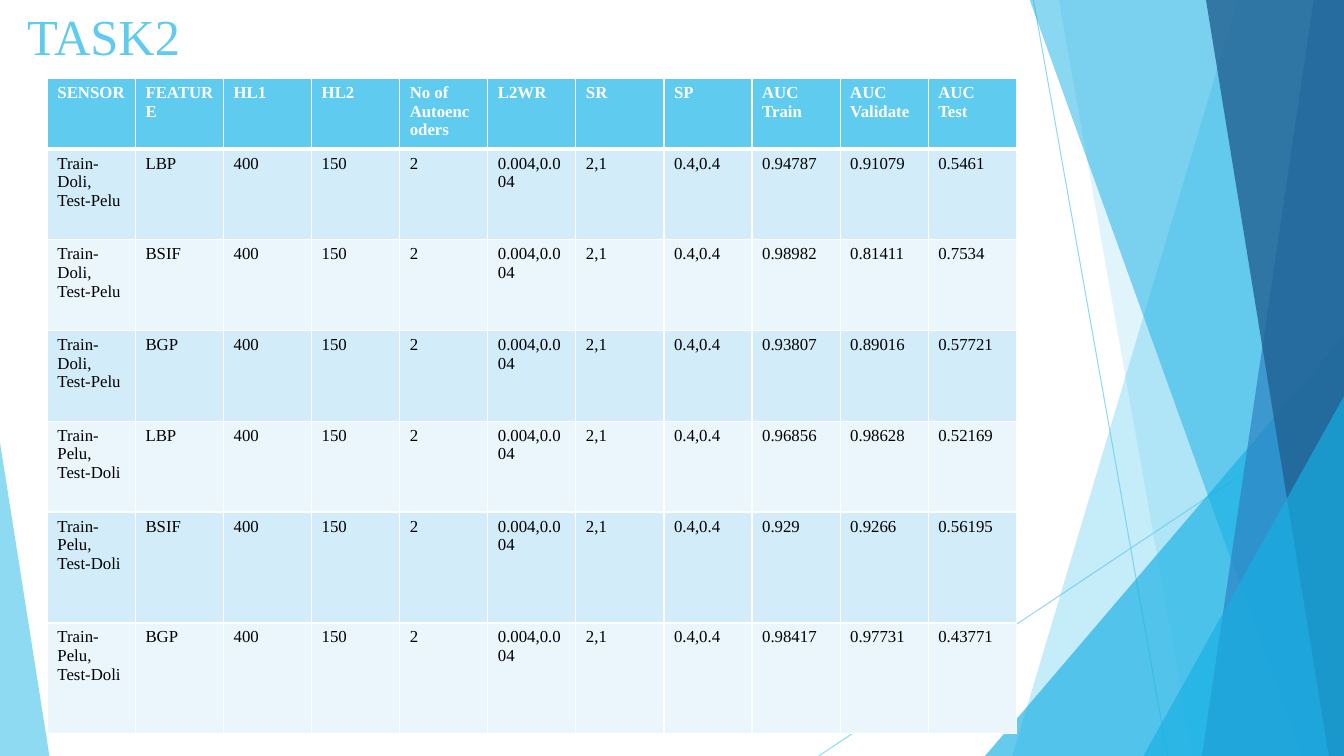
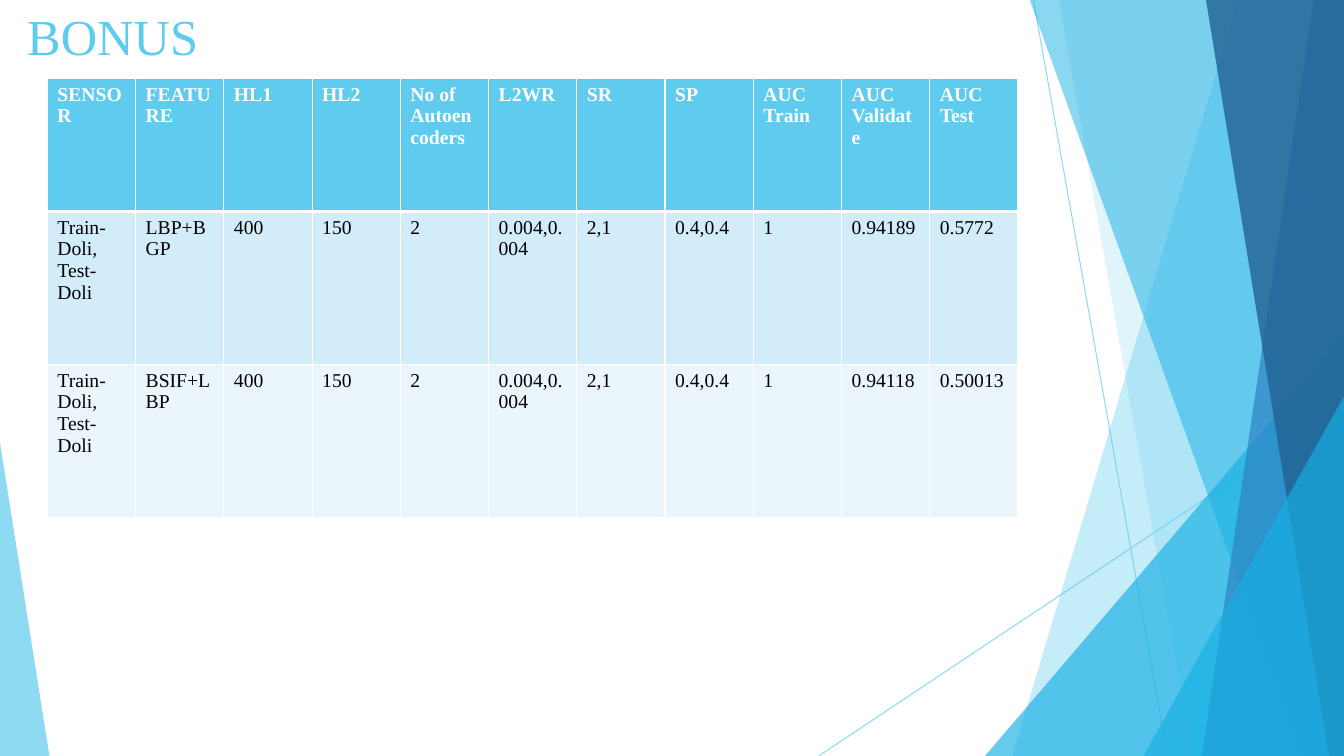
from dataclasses import dataclass

from lxml import etree
from pptx import Presentation
from pptx.dml.color import RGBColor
from pptx.enum.shapes import MSO_CONNECTOR, MSO_SHAPE
from pptx.enum.text import MSO_ANCHOR, MSO_AUTO_SIZE, PP_ALIGN
from pptx.oxml.ns import qn
from pptx.util import Inches, Pt

TRIANGLE = MSO_SHAPE.ISOSCELES_TRIANGLE
STRAIGHT = MSO_CONNECTOR.STRAIGHT
TOP = MSO_ANCHOR.TOP
LEFT = PP_ALIGN.LEFT
NO_AUTOFIT = MSO_AUTO_SIZE.NONE
TITLE_ONLY = 5


@dataclass(frozen=True)
class Theme:
    font: str = "Times New Roman"
    sky: str = "5FCBEF"
    cyan: str = "17B0E4"
    blue: str = "2E83C3"
    navy: str = "226292"
    white: str = "FFFFFF"
    black: str = "000000"
    stripes: tuple = ("D2ECF9", "EAF6FC")
    title_size: int = 36
    hairline: float = 0.75
    cell_border: int = 1
    header_border: int = 3


THEME = Theme()
WIDTH, HEIGHT = 13.33, 7.5
TABLE_LEFT, TABLE_TOP = 0.47, 0.78

HEADER = ("SENSOR", "FEATURE", "HL1", "HL2", "No of Autoencoders", "L2WR",
          "SR", "SP", "AUC\nTrain", "AUC\nValidate", "AUC\nTest")
SETTINGS = ("400", "150", "2", "0.004,0.004", "2,1", "0.4,0.4")
DOLI_TO_PELU = "Train-Doli,\nTest-Pelu"
PELU_TO_DOLI = "Train-Pelu,\nTest-Doli"
DOLI_TO_DOLI = "Train-Doli,\nTest-Doli"

# Sensor, feature, then AUC for train, validate and test
TASK2_RESULTS = (
    (DOLI_TO_PELU, "LBP", "0.94787", "0.91079", "0.5461"),
    (DOLI_TO_PELU, "BSIF", "0.98982", "0.81411", "0.7534"),
    (DOLI_TO_PELU, "BGP", "0.93807", "0.89016", "0.57721"),
    (PELU_TO_DOLI, "LBP", "0.96856", "0.98628", "0.52169"),
    (PELU_TO_DOLI, "BSIF", "0.929", "0.9266", "0.56195"),
    (PELU_TO_DOLI, "BGP", "0.98417", "0.97731", "0.43771"),
)
BONUS_RESULTS = (
    (DOLI_TO_DOLI, "LBP+BGP", "1", "0.94189", "0.5772"),
    (DOLI_TO_DOLI, "BSIF+LBP", "1", "0.94118", "0.50013"),
)


def rgb(color):
    return RGBColor.from_string(color)


def set_opacity(shape, percent):
    for color in shape.element.spPr.iter(qn("a:srgbClr")):
        etree.SubElement(color, qn("a:alpha"), val=str(percent * 1000))


def paint(shape, color, opacity):
    shape.shadow.inherit = False
    shape.fill.solid()
    shape.fill.fore_color.rgb = rgb(color)
    shape.line.fill.background()
    set_opacity(shape, opacity)


def add_ray(shapes, start, end):
    ray = shapes.add_connector(STRAIGHT, *map(Inches, start + end))
    ray.line.width = Pt(THEME.hairline)
    ray.line.color.rgb = rgb(THEME.sky)
    set_opacity(ray, 70)
    etree.SubElement(ray.element.spPr, qn("a:effectLst"))


def add_band(shapes, top_x, bottom_x, color, opacity):
    """Full-height panel from a slanted left edge to the right slide edge."""
    builder = shapes.build_freeform(Inches(top_x), Inches(-0.01))
    corners = ((WIDTH, -0.01), (WIDTH, HEIGHT), (bottom_x, HEIGHT))
    builder.add_line_segments([(Inches(x), Inches(y)) for x, y in corners], close=True)
    paint(builder.convert_to_shape(), color, opacity)


def add_corner(shapes, left, top, right, apex, color, opacity):
    """Right triangle on the bottom edge; apex is 0 for left, 1 for right."""
    corner = shapes.add_shape(TRIANGLE, Inches(left), Inches(top),
                              Inches(right - left), Inches(HEIGHT - top))
    corner.adjustments[0] = apex
    paint(corner, color, opacity)


def draw_facets(shapes):
    add_ray(shapes, (10.25, 0), (11.58, HEIGHT))
    add_ray(shapes, (WIDTH, 4.03), (8.12, HEIGHT))
    add_band(shapes, 12.28, 10.04, THEME.sky, 36)
    add_band(shapes, 10.5, 11.83, THEME.sky, 20)
    add_corner(shapes, 9.77, 3.33, WIDTH, 1, THEME.cyan, 66)
    add_band(shapes, 10.21, 12.91, THEME.cyan, 50)
    add_band(shapes, 13.03, 11.92, THEME.blue, 70)
    add_band(shapes, 11.96, 13.18, THEME.navy, 80)
    add_corner(shapes, 11.34, 3.93, WIDTH, 1, THEME.cyan, 66)
    add_corner(shapes, 0, 4.39, 0.49, 0, THEME.sky, 70)


def prepare_layout(layout, slide):
    """Place the title and move facets drawn on the slide into its layout."""
    title, *footers = layout.placeholders
    for footer in footers:
        footer.element.getparent().remove(footer.element)
    title.left, title.top = Inches(0.17), Inches(0)
    title.width, title.height = Inches(9.4), Inches(0.93)
    group = slide.shapes.add_group_shape()
    draw_facets(group.shapes)
    layout.shapes.element.insert(2, group.element)


def format_text(frame, size, color, bold=False):
    for para in frame.paragraphs:
        para.alignment = LEFT
        for span in para.runs:
            span.font.name = THEME.font
            span.font.size = Pt(size)
            span.font.bold = bold
            span.font.color.rgb = rgb(color)


def set_title(slide, text):
    frame = slide.shapes.title.text_frame
    frame.text = text
    frame.word_wrap = True
    frame.auto_size = NO_AUTOFIT
    frame.vertical_anchor = TOP
    format_text(frame, THEME.title_size, THEME.sky)


def set_borders(cell, top, bottom):
    properties = cell._tc.get_or_add_tcPr()
    side = THEME.cell_border
    for name, width in (("lnL", side), ("lnR", side), ("lnT", top), ("lnB", bottom)):
        border = etree.SubElement(properties, qn("a:" + name), w=str(Pt(width)))
        fill = etree.SubElement(border, qn("a:solidFill"))
        etree.SubElement(fill, qn("a:srgbClr"), val=THEME.white)


def fill_cell(cell, text, row_index, size):
    is_header = row_index == 0
    thin, thick = THEME.cell_border, THEME.header_border
    set_borders(cell, top=thick if row_index == 1 else thin,
                bottom=thick if is_header else thin)
    cell.fill.solid()
    cell.fill.fore_color.rgb = rgb(
        THEME.sky if is_header else THEME.stripes[(row_index - 1) % 2])
    cell.text_frame.text = text
    format_text(cell.text_frame, size,
                THEME.white if is_header else THEME.black, is_header)


def add_results_table(slide, results, width, row_heights, size):
    rows = [HEADER] + [(sensor, feature, *SETTINGS, *scores)
                       for sensor, feature, *scores in results]
    frame = slide.shapes.add_table(
        len(rows), len(HEADER), Inches(TABLE_LEFT), Inches(TABLE_TOP),
        Inches(width), Inches(sum(row_heights)))
    table = frame.table
    for column in table.columns:
        column.width = Inches(width / len(HEADER))
    for row_index, (texts, height) in enumerate(zip(rows, row_heights)):
        table.rows[row_index].height = Inches(height)
        for column_index, text in enumerate(texts):
            fill_cell(table.cell(row_index, column_index), text, row_index, size)


def main():
    deck = Presentation()
    deck.slide_width, deck.slide_height = Inches(WIDTH), Inches(HEIGHT)
    layout = deck.slide_layouts[TITLE_ONLY]

    task2 = deck.slides.add_slide(layout)
    prepare_layout(layout, task2)
    set_title(task2, "TASK2")
    add_results_table(task2, TASK2_RESULTS, 9.61,
                      [0.7] + [0.9] * 4 + [1.1] * 2, size=12)

    bonus = deck.slides.add_slide(layout)
    set_title(bonus, "BONUS")
    add_results_table(bonus, BONUS_RESULTS, 9.63, [1.32] + [1.52] * 2, size=14)

    deck.save("out.pptx")


if __name__ == "__main__":
    main()
